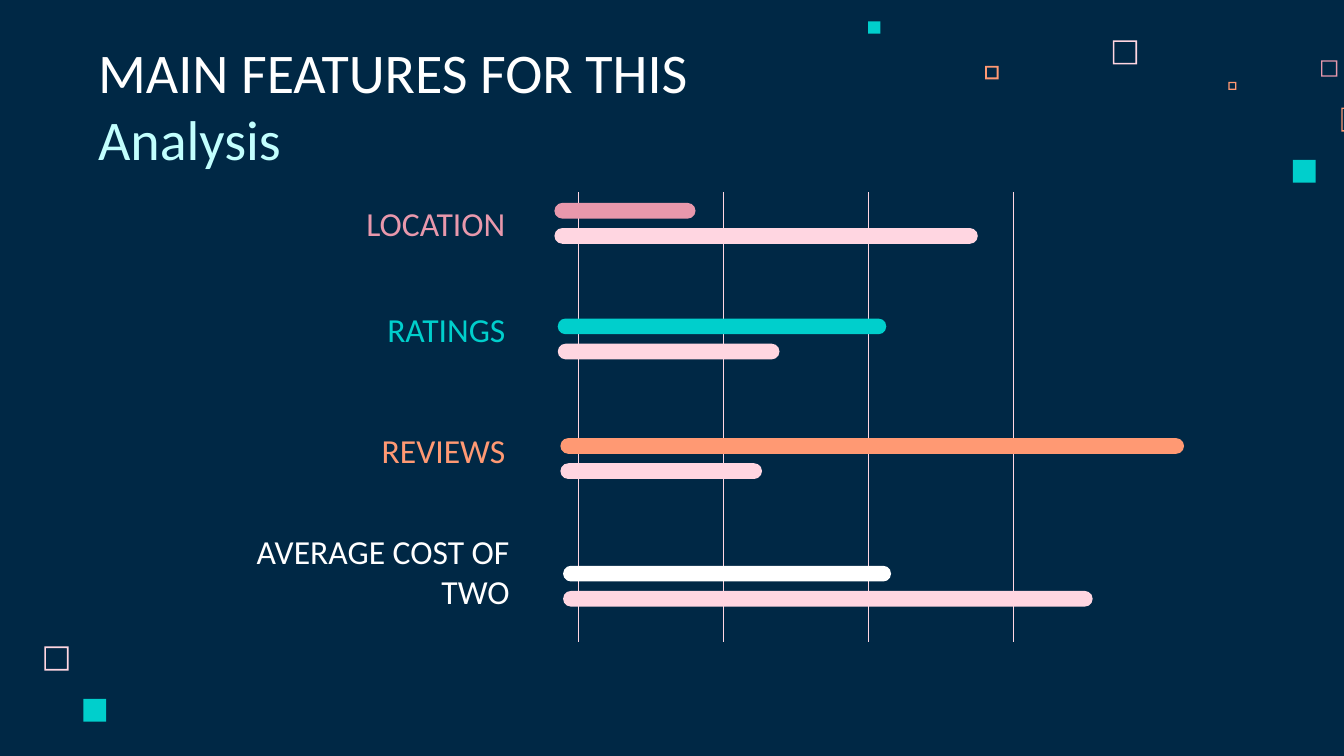
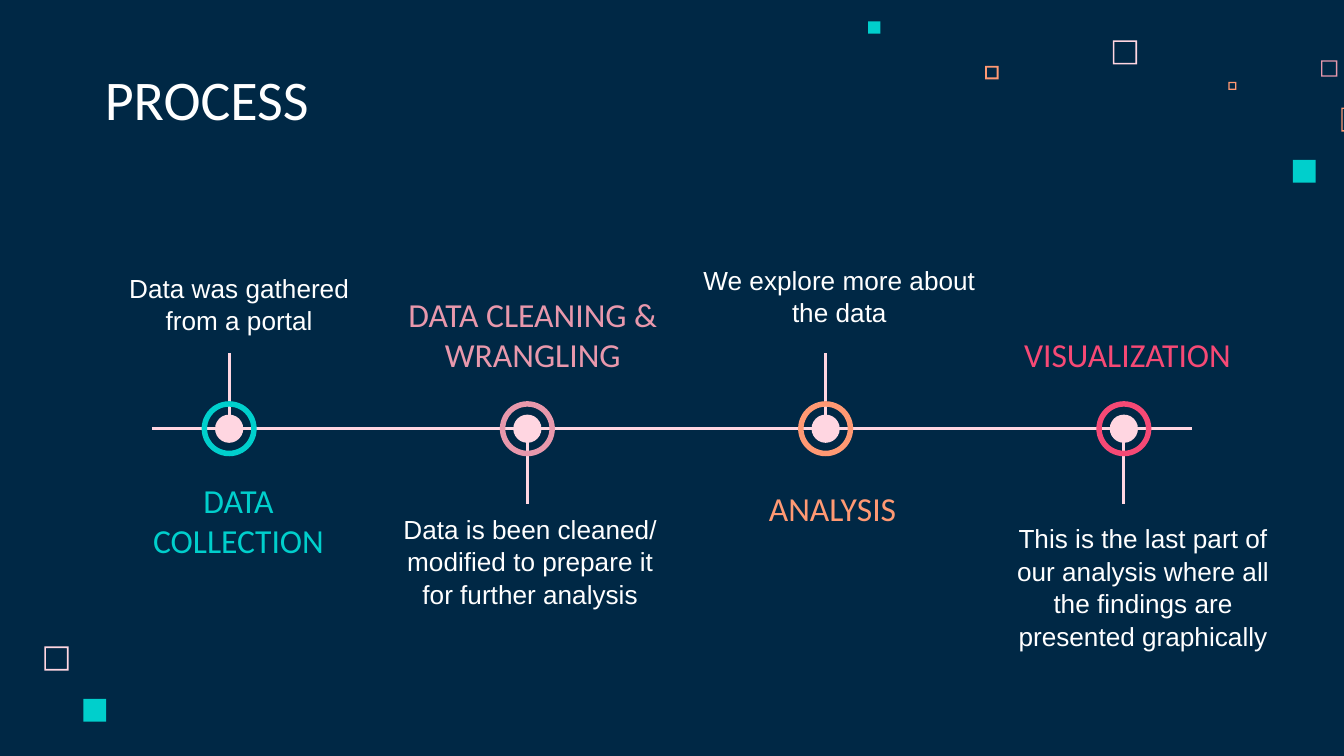
from lxml import etree
from pptx import Presentation
from pptx.dml.color import RGBColor
from pptx.enum.shapes import MSO_CONNECTOR, MSO_SHAPE as Preset
from pptx.enum.text import MSO_ANCHOR as Anchor, MSO_AUTO_SIZE, PP_ALIGN as Align
from pptx.oxml.ns import qn
from pptx.util import Inches, Pt

COLORS = {
    "navy": "002845",
    "white": "FFFFFF",
    "blush": "FFD6E1",
    "rose": "E898AC",
    "orange": "FF9973",
    "teal": "00CFCC",
    "ice": "C2FFFE",
    "pink": "F64975",
}
CELL = 0.1  # side of a grid cell in inches
COLUMNS, ROWS = 100, 56.25
TITLE_ONLY = 5

# column, row, size, colour
SOLID_SQUARES = [
    (96.2, 11.9, 1.7, "teal"),
    (64.6, 1.6, 0.9, "teal"),
    (6.2, 52, 1.7, "teal"),
]
# column, row, size, colour, border as a share of the size
HOLLOW_SQUARES = [
    (82.8, 3, 1.8, "blush", 0.07),
    (98.3, 4.5, 1.2, "rose", 0.08),
    (91.4, 6.1, 0.6, "orange", 0.15),
    (99.8, 8, 1.8, "orange", 0.06),
    (73.3, 4.9, 1, "orange", 0.14),
    (3.3, 48.1, 1.8, "blush", 0.07),
]


def grid(cells):
    return Inches(cells * CELL)


def rgb(name):
    return RGBColor.from_string(COLORS[name])


def write_text(frame, *pieces, size=18, font="Calibri", align=Align.LEFT,
               anchor=Anchor.BOTTOM, spacing=1.0):
    """Fill a text frame with one paragraph made of (text, colour) pieces."""
    frame.word_wrap = True
    frame.auto_size = MSO_AUTO_SIZE.NONE
    frame.vertical_anchor = anchor
    frame.margin_left = frame.margin_right = grid(1)
    frame.margin_top = frame.margin_bottom = grid(1)
    paragraph = frame.paragraphs[0]
    paragraph.alignment = align
    paragraph.line_spacing = spacing
    for text, color in pieces:
        run = paragraph.add_run()
        run.text = text
        run.font.size = Pt(size)
        run.font.name = font
        run.font.color.rgb = rgb(color)


class Deck:
    """Holds the shared style and the slide being drawn; lengths are grid cells."""

    def __init__(self):
        self.presentation = Presentation()
        self.presentation.slide_width = grid(COLUMNS)
        self.presentation.slide_height = grid(ROWS)
        background = self.presentation.slide_master.background.fill
        background.solid()
        background.fore_color.rgb = rgb("navy")
        self.slide = None

    def new_slide(self, box, *title_pieces):
        layout = self.presentation.slide_layouts[TITLE_ONLY]
        self.slide = self.presentation.slides.add_slide(layout)
        for column, row, size, color in SOLID_SQUARES:
            self.shape(Preset.RECTANGLE, (column, row, size, size), color)
        for column, row, size, color, border in HOLLOW_SQUARES:
            self.shape(Preset.FRAME, (column, row, size, size), color, border)
        title = self.slide.shapes.title
        title.left, title.top, title.width, title.height = map(grid, box)
        write_text(title.text_frame, *title_pieces, size=30)

    def shape(self, preset, box, color, adjustment=None):
        shape = self.slide.shapes.add_shape(preset, *map(grid, box))
        shape.shadow.inherit = False
        shape.fill.solid()
        shape.fill.fore_color.rgb = rgb(color)
        shape.line.fill.background()
        if adjustment is not None:
            shape.adjustments[0] = adjustment

    def line(self, start, end, width):
        connector = self.slide.shapes.add_connector(
            MSO_CONNECTOR.STRAIGHT, *map(grid, start + end))
        connector.line.color.rgb = rgb("blush")
        connector.line.width = Pt(width)
        etree.SubElement(connector.element.spPr, qn("a:effectLst"))

    def text(self, box, text, color, **text_format):
        textbox = self.slide.shapes.add_textbox(*map(grid, box))
        write_text(textbox.text_frame, (text, color), **text_format)

    def bar(self, column, row, length, color):
        self.shape(Preset.ROUNDED_RECTANGLE, (column, row, length, 1.17), color, 0.5)


def draw_features(deck):
    deck.new_slide((6.3, 1.5, 51.7, 12.3),
                   ("MAIN FEATURES FOR THIS ", "white"), ("Analysis", "ice"))
    for index in range(4):
        column = 43.05 + 10.78 * index
        deck.line((column, 14.3), (column, 47.75), 0.25)

    # label, label box, colour, bar column, bar row, upper and lower bar lengths
    features = [
        ("LOCATION", (18, 14.8, 20.6, 4.3), "rose", 41.25, 15.1, 10.5, 31.5),
        ("RATINGS", (18, 22.7, 20.6, 4.3), "teal", 41.5, 23.7, 24.45, 16.5),
        ("REVIEWS", (18, 31.7, 20.6, 4.3), "orange", 41.7, 32.6, 46.4, 15),
        ("AVERAGE COST OF TWO", (14.5, 41.5, 24.4, 5), "white",
         41.9, 42.1, 24.4, 39.4),
    ]
    for label, box, color, column, row, upper, lower in features:
        deck.bar(column, row, upper, color)
        deck.bar(column, row + 1.87, lower, "blush")
        deck.text(box, label, color, align=Align.RIGHT)


def draw_process(deck):
    deck.new_slide((6.8, 4.5, 51.7, 6.3), ("PROCESS", "white"))
    # heading, heading box, colour, description, description box
    steps = [
        ("DATA COLLECTION", (9.9, 35.9, 15.7, 5.6), "teal",
         "Data was gathered from a portal", (7.5, 18.9, 20.6, 7.1)),
        ("DATA CLEANING & WRANGLING", (29, 21.3, 21.3, 7.1), "rose",
         "Data is been cleaned/ modified to prepare it for further analysis",
         (27.9, 37.1, 23.1, 7.1)),
        ("ANALYSIS", (54.1, 35.3, 15.7, 5), "orange",
         "We explore more about the data", (50.9, 18.3, 23.1, 7.1)),
        ("VISUALIZATION", (73.6, 24, 20.6, 4.7), "pink",
         "This is the last part of our analysis where all the findings are "
         "presented graphically", (73.5, 37.8, 23.1, 7.1)),
    ]
    axis = 31.9
    deck.line((11.3, axis), (88.7, axis), 1.5)
    for index, (heading, heading_box, color, description, box) in enumerate(steps):
        center = 17.05 + 22.19 * index
        above = index % 2 == 0
        stem_top, stem_bottom = (26.3, 31.3) if above else (32.6, 37.5)
        deck.line((center, stem_top), (center, stem_bottom), 1.5)
        for preset, size, fill, ring in ((Preset.OVAL, 2.1, "blush", None),
                                         (Preset.DONUT, 4.1, color, 0.1)):
            marker = (center - size / 2, axis - size / 2, size, size)
            deck.shape(preset, marker, fill, ring)
        deck.text(box, description, "white", size=14, font="Arial",
                  align=Align.CENTER, spacing=1.04,
                  anchor=Anchor.BOTTOM if above else Anchor.TOP)
        deck.text(heading_box, heading, color,
                  align=Align.CENTER, anchor=Anchor.MIDDLE)


def main():
    deck = Deck()
    draw_features(deck)
    draw_process(deck)
    deck.presentation.save("out.pptx")


if __name__ == "__main__":
    main()
